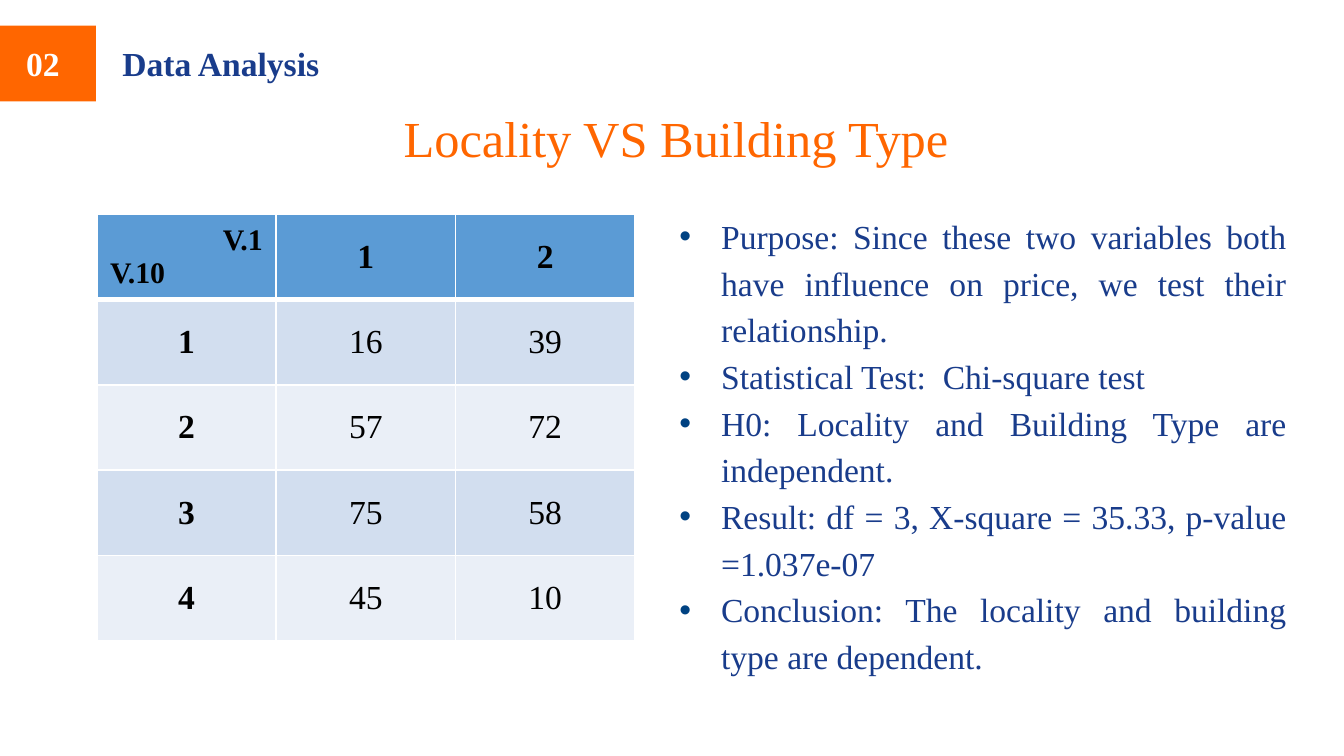
import pptx
import pptx.util
import pptx.dml.color
import pptx.enum.shapes
import pptx.enum.text
import pptx.oxml.ns
import lxml.etree

PX = 4572
FONT = "Times New Roman"
ORANGE = pptx.dml.color.RGBColor(0xFF, 0x66, 0x00)
NAVY = pptx.dml.color.RGBColor(0x19, 0x3C, 0x8B)
BULLET_BLUE = pptx.dml.color.RGBColor(0x00, 0x42, 0x82)
WHITE = pptx.dml.color.RGBColor(0xFF, 0xFF, 0xFF)
BLACK = pptx.dml.color.RGBColor(0x00, 0x00, 0x00)
HEADER_BLUE = pptx.dml.color.RGBColor(0x5B, 0x9B, 0xD5)
BANDS = (
    pptx.dml.color.RGBColor(0xD2, 0xDE, 0xEF),
    pptx.dml.color.RGBColor(0xEA, 0xEF, 0xF7),
)
ALIGN = pptx.enum.text.PP_ALIGN
ANCHOR = pptx.enum.text.MSO_ANCHOR

COUNTS = [
    ["V.1\nV.10", "1", "2"],
    ["1", "16", "39"],
    ["2", "57", "72"],
    ["3", "75", "58"],
    ["4", "45", "10"],
]
FINDINGS = [
    "Purpose: Since these two variables both have influence on price, we test their relationship.",
    "Statistical Test:  Chi-square test",
    "H0: Locality and Building Type are independent.",
    "Result: df = 3, X-square = 35.33, p-value =1.037e-07",
    "Conclusion: The locality and building type are dependent.",
]


def px(*lengths):
    """Turn pixel lengths into EMU."""
    return [pptx.util.Emu(length * PX) for length in lengths]


def add_xml(parent, tag, **attributes):
    """Append a DrawingML element to a parent and return it."""
    return lxml.etree.SubElement(parent, pptx.oxml.ns.qn(tag), attributes)


def write(frame, lines, size, color, bold=False, align=ALIGN.LEFT):
    """Fill a text frame with one evenly formatted paragraph per line."""
    frame.text = "\n".join(lines)
    for para in frame.paragraphs:
        para.alignment = align
        for span in para.runs:
            span.font.name = FONT
            span.font.size = pptx.util.Pt(size)
            span.font.bold = bold
            span.font.color.rgb = color


def add_text(shapes, place, lines, size, color, **style):
    """Add a wrapping text box and return its frame."""
    frame = shapes.add_textbox(*px(*place)).text_frame
    frame.word_wrap = True
    frame.margin_left, frame.margin_top, frame.margin_right, frame.margin_bottom = px(15, 8, 15, 8)
    write(frame, lines, size, color, **style)
    return frame


def add_heading(page, number, name):
    """Add the numbered section tab and its name."""
    shapes = page.shapes.add_group_shape().shapes
    tab = shapes.add_shape(pptx.enum.shapes.MSO_SHAPE.RECTANGLE, *px(0, 38, 143, 113))
    tab.shadow.inherit = False
    tab.fill.solid()
    tab.fill.fore_color.rgb = ORANGE
    tab.line.fill.background()
    add_text(shapes, (24, 56, 120, 76), [number], 18, WHITE, bold=True)
    add_text(shapes, (167, 56, 736, 76), [name], 18, NAVY, bold=True)


def add_title(page, title):
    """Add the centred slide title."""
    frame = add_text(page.shapes, (451, 180, 1098, 78), [title], 27, ORANGE, align=ALIGN.CENTER)
    frame.vertical_anchor = ANCHOR.BOTTOM
    frame.paragraphs[0]._p.get_or_add_pPr().set("marL", str(12 * PX))


def add_bullets(page, place, lines):
    """Add a justified bullet list with fixed line spacing."""
    frame = add_text(page.shapes, place, lines, 18, NAVY, align=ALIGN.JUSTIFY)
    for para in frame.paragraphs:
        para.line_spacing = pptx.util.Pt(25)
        props = para._p.get_or_add_pPr()
        props.set("marL", str(84 * PX))
        props.set("indent", str(-62 * PX))
        add_xml(add_xml(props, "a:buClr"), "a:srgbClr", val=str(BULLET_BLUE))
        add_xml(props, "a:buFont", typeface="Arial")
        add_xml(props, "a:buChar", char="•")


def style_cell(cell, fill, top, bottom):
    """Give a cell white borders, a fill and middle anchoring."""
    cell.vertical_anchor = ANCHOR.MIDDLE
    props = cell._tc.get_or_add_tcPr()
    for side, points in (("L", 1), ("R", 1), ("T", top), ("B", bottom)):
        line = add_xml(props, f"a:ln{side}", w=str(pptx.util.Pt(points)))
        add_xml(add_xml(line, "a:solidFill"), "a:srgbClr", val=str(WHITE))
    cell.fill.solid()
    cell.fill.fore_color.rgb = fill


def add_counts(page, rows):
    """Add the contingency table with banded rows."""
    place = px(144, 319, 801, 633)
    table = page.shapes.add_table(len(rows), len(rows[0]), *place).table
    for column in table.columns:
        column.width = px(267)[0]
    for r, values in enumerate(rows):
        table.rows[r].height = px(127 if r else 125)[0]
        for c, value in enumerate(values):
            cell = table.cell(r, c)
            fill = BANDS[(r - 1) % 2] if r else HEADER_BLUE
            style_cell(cell, fill, 3 if r == 1 else 1, 1 if r else 3)
            heading = r == 0 or c == 0
            size = 16 if r == c == 0 else 18
            write(cell.text_frame, value.split("\n"), size, BLACK, heading, ALIGN.CENTER)
    corner = table.cell(0, 0).text_frame.paragraphs
    corner[0].alignment = ALIGN.RIGHT
    corner[1].alignment = ALIGN.LEFT


def main():
    """Build the slide and save the deck."""
    deck = pptx.Presentation()
    deck.slide_width, deck.slide_height = px(2000, 1125)
    page = deck.slides.add_slide(deck.slide_layouts[6])
    add_title(page, "Locality VS Building Type")
    add_bullets(page, (974, 304, 956, 716), FINDINGS)
    add_counts(page, COUNTS)
    add_heading(page, "02", "Data Analysis")
    deck.save("out.pptx")


if __name__ == "__main__":
    main()
